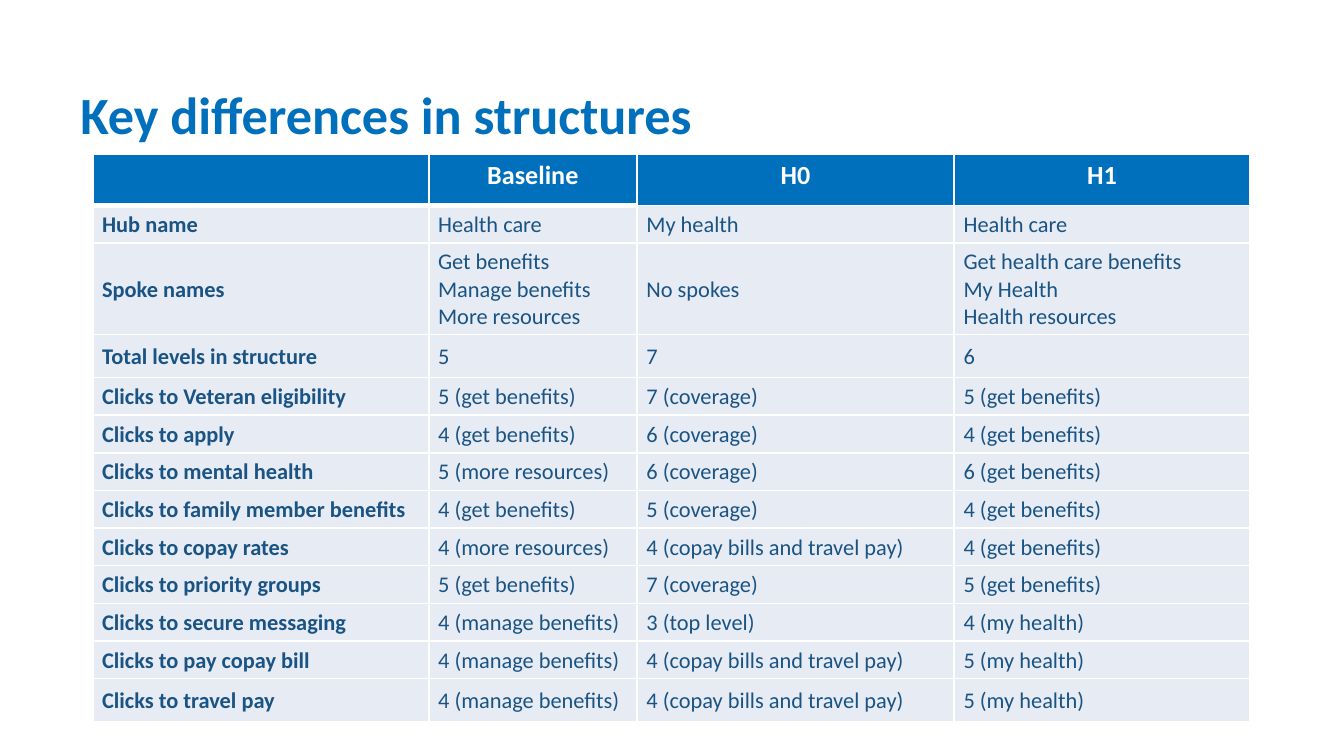
from copy import deepcopy

from lxml.etree import SubElement
from pptx import Presentation
from pptx.dml.color import RGBColor
from pptx.enum.text import MSO_ANCHOR, PP_ALIGN
from pptx.oxml.ns import qn
from pptx.util import Inches, Pt

BLUE = RGBColor(0x00, 0x70, 0xBC)
NAVY = RGBColor(0x1A, 0x54, 0x84)
PALE = RGBColor(0xE7, 0xEB, 0xF3)
WHITE = RGBColor(0xFF, 0xFF, 0xFF)

TITLE = "Key differences in structures"
ROWS = [
    ("", "Baseline", "H0", "H1"),
    ("Hub name", "Health care", "My health", "Health care"),
    ("Spoke names", "Get benefits\nManage benefits\nMore resources", "No spokes",
     "Get health care benefits\nMy Health\nHealth resources"),
    ("Total levels in structure", "5", "7", "6"),
    ("Clicks to Veteran eligibility", "5 (get benefits)", "7 (coverage)", "5 (get benefits)"),
    ("Clicks to apply", "4 (get benefits)", "6 (coverage)", "4 (get benefits)"),
    ("Clicks to mental health", "5 (more resources)", "6 (coverage)", "6 (get benefits)"),
    ("Clicks to family member benefits", "4 (get benefits)", "5 (coverage)", "4 (get benefits)"),
    ("Clicks to copay rates", "4 (more resources)", "4 (copay bills and travel pay)",
     "4 (get benefits)"),
    ("Clicks to priority groups", "5 (get benefits)", "7 (coverage)", "5 (get benefits)"),
    ("Clicks to secure messaging", "4 (manage benefits)", "3 (top level)", "4 (my health)"),
    ("Clicks to pay copay bill", "4 (manage benefits)", "4 (copay bills and travel pay)",
     "5 (my health)"),
    ("Clicks to travel pay", "4 (manage benefits)", "4 (copay bills and travel pay)",
     "5 (my health)"),
]
COLUMN_WIDTHS = [2.5, 1.55, 2.36, 2.2]
ROW_HEIGHTS = [0.38, 0.28, 0.68, 0.32] + [0.28] * 8 + [0.32]
CELL_MARGINS = {
    "margin_left": Inches(0.07),
    "margin_right": Inches(0.07),
    "margin_top": Inches(0.04),
    "margin_bottom": Inches(0.03),
}


def write(paragraph, text, size, color, bold):
    paragraph.text = text
    font_format = {"name": "Calibri", "size": Pt(size), "bold": bold}
    for run in paragraph.runs:
        for key, value in font_format.items():
            setattr(run.font, key, value)
        run.font.color.rgb = color
    for line_break in paragraph._p.findall(qn("a:br")):
        line_break.append(deepcopy(paragraph.runs[0]._r.rPr))


def add_borders(cell, row, column):
    properties = cell._tc.get_or_add_tcPr()
    heavy_edge = {0: "a:lnB", 1: "a:lnT"}.get(row) if column < 2 else None
    for edge in ("a:lnL", "a:lnR", "a:lnT", "a:lnB"):
        width = Pt(3 if edge == heavy_edge else 1)
        border = SubElement(properties, qn(edge), w=str(width))
        fill = SubElement(border, qn("a:solidFill"))
        SubElement(fill, qn("a:srgbClr"), val=str(WHITE))


def add_title(slide):
    title = slide.shapes.add_textbox(Inches(0.5), Inches(0.56), Inches(8.25), Inches(0.69))
    frame = title.text_frame
    frame.word_wrap = True
    frame.vertical_anchor = MSO_ANCHOR.MIDDLE
    frame.margin_bottom = Inches(0.11)
    frame.paragraphs[0].line_spacing = 0.9
    write(frame.paragraphs[0], TITLE, 28, BLUE, True)


def add_comparison(slide):
    comparison = slide.shapes.add_table(
        len(ROWS), len(COLUMN_WIDTHS), Inches(0.69), Inches(1.15),
        Inches(sum(COLUMN_WIDTHS)), Inches(sum(ROW_HEIGHTS))).table
    for column, width in zip(comparison.columns, COLUMN_WIDTHS):
        column.width = Inches(width)
    for row, height in zip(comparison.rows, ROW_HEIGHTS):
        row.height = Inches(height)
    for r, texts in enumerate(ROWS):
        header = r == 0
        for c, text in enumerate(texts):
            cell = comparison.cell(r, c)
            add_borders(cell, r, c)
            cell.fill.solid()
            cell.fill.fore_color.rgb = BLUE if header else PALE
            for key, value in CELL_MARGINS.items():
                setattr(cell, key, value)
            cell.vertical_anchor = MSO_ANCHOR.TOP if header else MSO_ANCHOR.MIDDLE
            if not text:
                continue
            paragraph = cell.text_frame.paragraphs[0]
            paragraph.alignment = PP_ALIGN.CENTER if header else PP_ALIGN.LEFT
            write(paragraph, text, 14 if header else 12,
                  WHITE if header else NAVY, header or c == 0)


def main():
    presentation = Presentation()
    presentation.slide_width = Inches(10)
    presentation.slide_height = Inches(10) * 9 // 16
    slide = presentation.slides.add_slide(presentation.slide_layouts[6])
    add_title(slide)
    add_comparison(slide)
    presentation.save("out.pptx")


if __name__ == "__main__":
    main()
